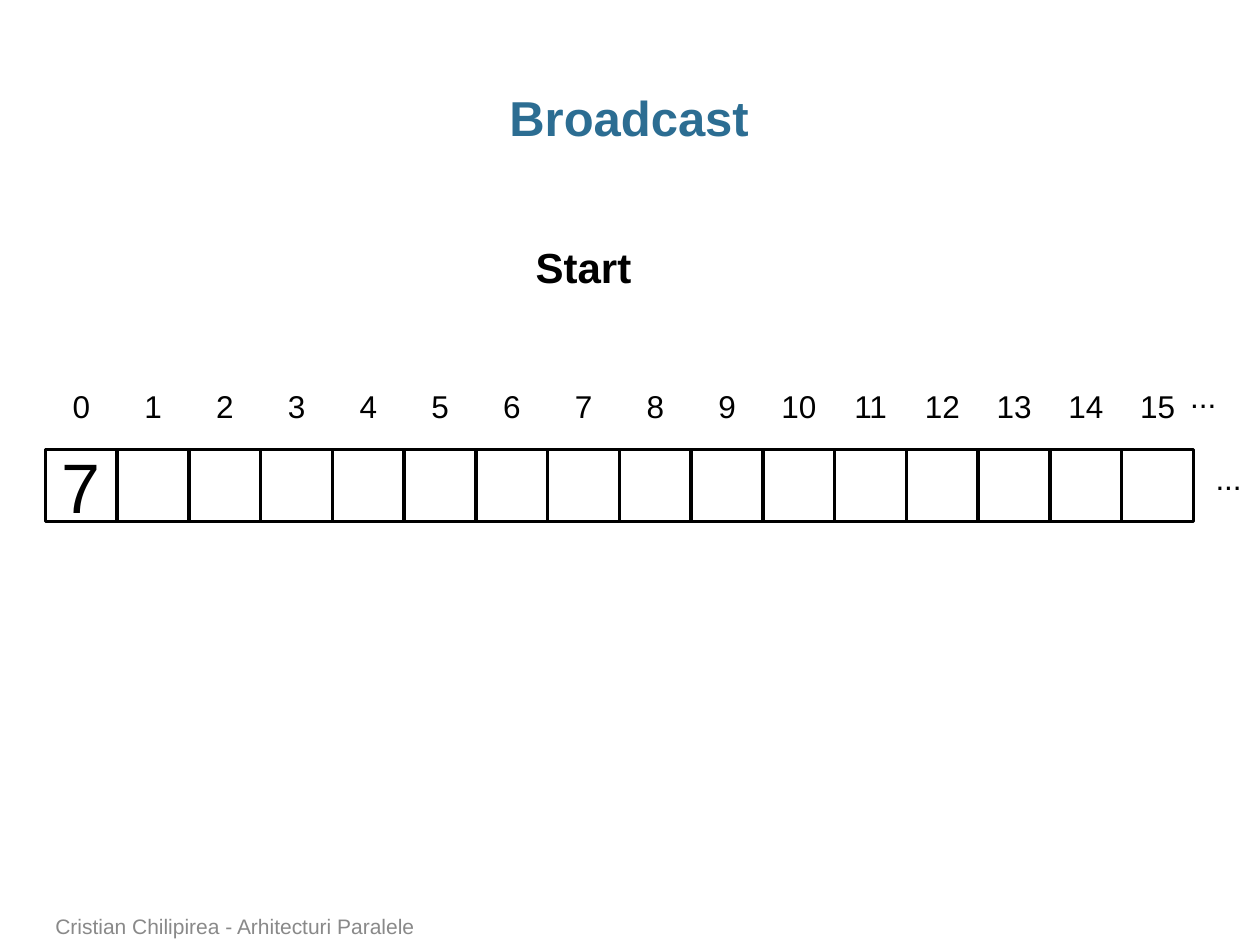
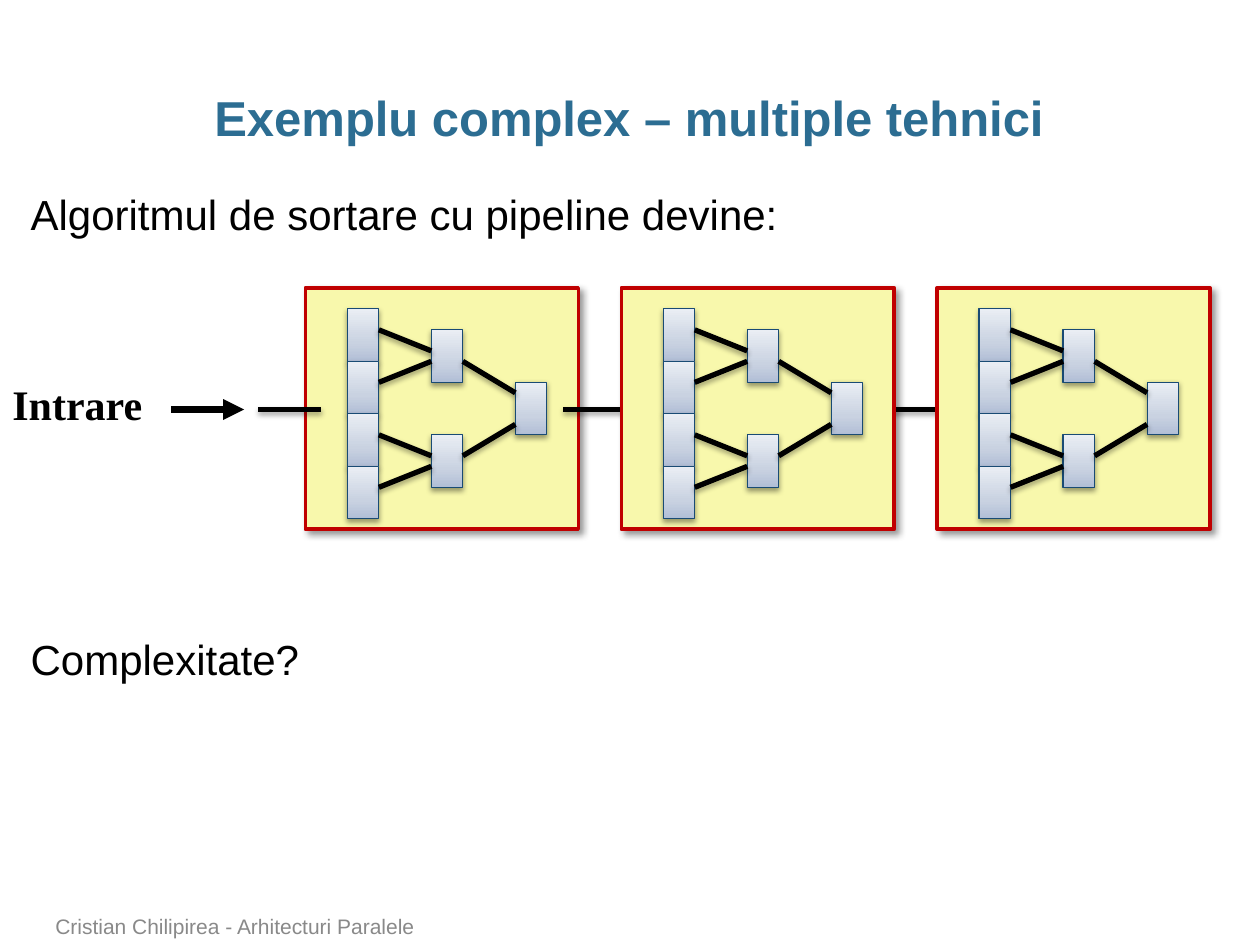
from copy import deepcopy
from dataclasses import dataclass

from lxml.etree import SubElement
from pptx import Presentation
from pptx.dml.color import RGBColor
from pptx.enum.shapes import MSO_CONNECTOR, MSO_SHAPE
from pptx.enum.text import MSO_ANCHOR, PP_ALIGN
from pptx.oxml.ns import qn
from pptx.util import Pt


@dataclass(frozen=True)
class Theme:
    font: str = "Arial"
    label_font: str = "Times New Roman"
    title_color: str = "2C6D92"
    ink: str = "000000"
    footer_color: str = "898989"
    panel_fill: str = "F8F8AC"
    panel_line: str = "C00000"
    node_line: str = "194B74"
    node_gradient: tuple = ((0, "B1BED6"), (0.35, "C9D2E1"), (1, "EAEEF4"))
    title_size: int = 28
    body_size: int = 24
    index_size: int = 18
    value_size: int = 40
    footer_size: int = 12


@dataclass(frozen=True)
class Box:
    left: float
    top: float
    width: float
    height: float

    def lengths(self):
        return Pt(self.left), Pt(self.top), Pt(self.width), Pt(self.height)

    def inner(self, left, top, width, height):
        return Box(self.left + left, self.top + top, width, height)


@dataclass(frozen=True)
class Shadow:
    opacity: int
    blur: float
    distance: float
    angle: int


THEME = Theme()
PAGE = Box(0, 0, 720, 540)
PANEL_SHADOW = Shadow(40, 4, 3, 45)
NODE_SHADOW = Shadow(38, 3.1, 1.6, 90)
LINE_SHADOW = Shadow(35, 3.1, 1.8, 90)

NODE_WIDTH, NODE_HEIGHT = 18, 30
LEAVES = [(24, 12 + row * NODE_HEIGHT) for row in range(4)]
MERGES = [(72, 24), (72, 84)]
ROOT = (120, 54)
EDGES = [(leaf, MERGES[row // 2], 12, 12 + row % 2 * 6) for row, leaf in enumerate(LEAVES)]
EDGES += [(MERGES[0], ROOT, 18, 6), (MERGES[1], ROOT, 12, 24)]


def color(value):
    return RGBColor.from_string(value)


def style_font(paragraph, size, ink=THEME.ink, bold=False, name=THEME.font):
    paragraph.font.name = name
    paragraph.font.size = Pt(size)
    paragraph.font.bold = bold
    paragraph.font.color.rgb = color(ink)


def add_text(slide, box, text, size, align=PP_ALIGN.LEFT, anchor=MSO_ANCHOR.TOP,
             wrap=False, side_inset=7.2, **font):
    frame = slide.shapes.add_textbox(*box.lengths()).text_frame
    frame.word_wrap = wrap
    frame.vertical_anchor = anchor
    frame.margin_left = frame.margin_right = Pt(side_inset)
    paragraph = frame.paragraphs[0]
    paragraph.text = text
    paragraph.alignment = align
    style_font(paragraph, size, **font)
    return frame


def set_shadow(shape, shadow=None):
    effects = SubElement(shape._element.spPr, qn("a:effectLst"))
    if shadow:
        outer = SubElement(effects, qn("a:outerShdw"), blurRad=str(Pt(shadow.blur)),
                           dist=str(Pt(shadow.distance)), dir=str(shadow.angle * 60000),
                           rotWithShape="0")
        ink = SubElement(outer, qn("a:srgbClr"), val=THEME.ink)
        SubElement(ink, qn("a:alpha"), val=str(shadow.opacity * 1000))


def add_rectangle(shapes, box, line_color, line_width):
    shape = shapes.add_shape(MSO_SHAPE.RECTANGLE, *box.lengths())
    shape.fill.background()
    shape.line.color.rgb = color(line_color)
    shape.line.width = Pt(line_width)
    return shape


def add_line(shapes, start, end, width=3, shadow=LINE_SHADOW, arrow=False):
    points = [Pt(value) for value in (*start, *end)]
    connector = shapes.add_connector(MSO_CONNECTOR.STRAIGHT, *points)
    connector.line.color.rgb = color(THEME.ink)
    connector.line.width = Pt(width)
    if arrow:
        SubElement(connector.line._get_or_add_ln(), qn("a:tailEnd"), type="triangle")
    set_shadow(connector, shadow)


def add_frame(slide, page, title):
    add_text(slide, page.inner(24.5, 49, 670, 36), title, THEME.title_size,
             PP_ALIGN.CENTER, wrap=True, side_inset=0, ink=THEME.title_color,
             bold=True).paragraphs[0].line_spacing = 0.95
    add_text(slide, page.inner(24.5, 520, 530, 20),
             "Cristian Chilipirea - Arhitecturi Paralele", THEME.footer_size,
             anchor=MSO_ANCHOR.BOTTOM, wrap=True, ink=THEME.footer_color)


def add_array(slide, box, values):
    size = box.width / len(values)
    for index, value in enumerate(values):
        left = index * size
        cell = add_rectangle(slide.shapes, box.inner(left, 0, size, size), THEME.ink, 2)
        cell.shadow.inherit = False
        if value:
            cell.text_frame.vertical_anchor = MSO_ANCHOR.MIDDLE
            paragraph = cell.text_frame.paragraphs[0]
            paragraph.text = value
            paragraph.alignment = PP_ALIGN.CENTER
            style_font(paragraph, THEME.value_size)
        add_text(slide, box.inner(left, -39.5, size, 29), str(index),
                 THEME.index_size, PP_ALIGN.CENTER)
    for left, top in ((647, -45), (661.5, 2)):
        add_text(slide, box.inner(left, top, 29.5, 29), "...", THEME.index_size)


def add_node(shapes, box):
    node = add_rectangle(shapes, box, THEME.node_line, 0.75)
    node.fill.gradient()
    node.fill.gradient_angle = 90
    stop_list = node._element.spPr.find(".//" + qn("a:gsLst"))
    stop_list.append(deepcopy(stop_list[-1]))
    for stop, (position, value) in zip(node.fill.gradient_stops, THEME.node_gradient):
        stop.position = position
        stop.color.rgb = color(value)
    set_shadow(node, NODE_SHADOW)


def add_merge_panel(slide, box):
    shapes = slide.shapes.add_group_shape().shapes
    panel = add_rectangle(shapes, box, THEME.panel_line, 2)
    panel.fill.solid()
    panel.fill.fore_color.rgb = color(THEME.panel_fill)
    set_shadow(panel, PANEL_SHADOW)
    for left, top in (*LEAVES, *MERGES, ROOT):
        add_node(shapes, box.inner(left, top, NODE_WIDTH, NODE_HEIGHT))
    for child, parent, child_drop, parent_drop in EDGES:
        add_line(shapes,
                 (box.left + child[0] + NODE_WIDTH, box.top + child[1] + child_drop),
                 (box.left + parent[0], box.top + parent[1] + parent_drop))


def add_pipeline(slide, box, stages=3):
    pitch = 180.5
    axis = box.top + 69.5
    panels = [box.inner(stage * pitch, 0, 156, 138) for stage in range(stages)]
    add_merge_panel(slide, panels[0])
    for panel in panels:
        start = panel.left - (27 if panel is panels[0] else 33)
        add_line(slide.shapes, (start, axis), (panel.left + 9, axis))
    add_text(slide, box.inner(-174.5, 48, 89, 36.5), "Intrare", THEME.body_size,
             bold=True, name=THEME.label_font)
    add_line(slide.shapes, (box.left - 76.5, axis), (box.left - 35, axis),
             width=4, shadow=None, arrow=True)
    for panel in panels[1:]:
        add_merge_panel(slide, panel)


def add_body(slide, box, opening, question):
    frame = add_text(slide, box, opening, THEME.body_size, wrap=True, side_inset=0)
    closing = frame.add_paragraph()
    closing.text = question
    style_font(closing, THEME.body_size)
    closing.space_before = Pt(234)
    for paragraph in frame.paragraphs:
        paragraph.line_spacing = 0.7


def build_broadcast(slide, page):
    add_frame(slide, page, "Broadcast")
    add_array(slide, page.inner(26, 257, 656, 41), ["7"] + [""] * 15)
    add_text(slide, page.inner(299, 134.5, 70, 36), "Start", THEME.body_size, bold=True)


def build_complex_example(slide, page):
    add_body(slide, page.inner(17.5, 112, 674.5, 383),
             "Algoritmul de sortare cu pipeline devine:", "Complexitate?")
    add_frame(slide, page, "Exemplu complex – multiple tehnici")
    add_pipeline(slide, page.inner(174.5, 164.5, 517, 138))


def main():
    presentation = Presentation()
    presentation.slide_width, presentation.slide_height = Pt(PAGE.width), Pt(PAGE.height)
    for build in (build_broadcast, build_complex_example):
        build(presentation.slides.add_slide(presentation.slide_layouts[6]), PAGE)
    presentation.save("out.pptx")


if __name__ == "__main__":
    main()
